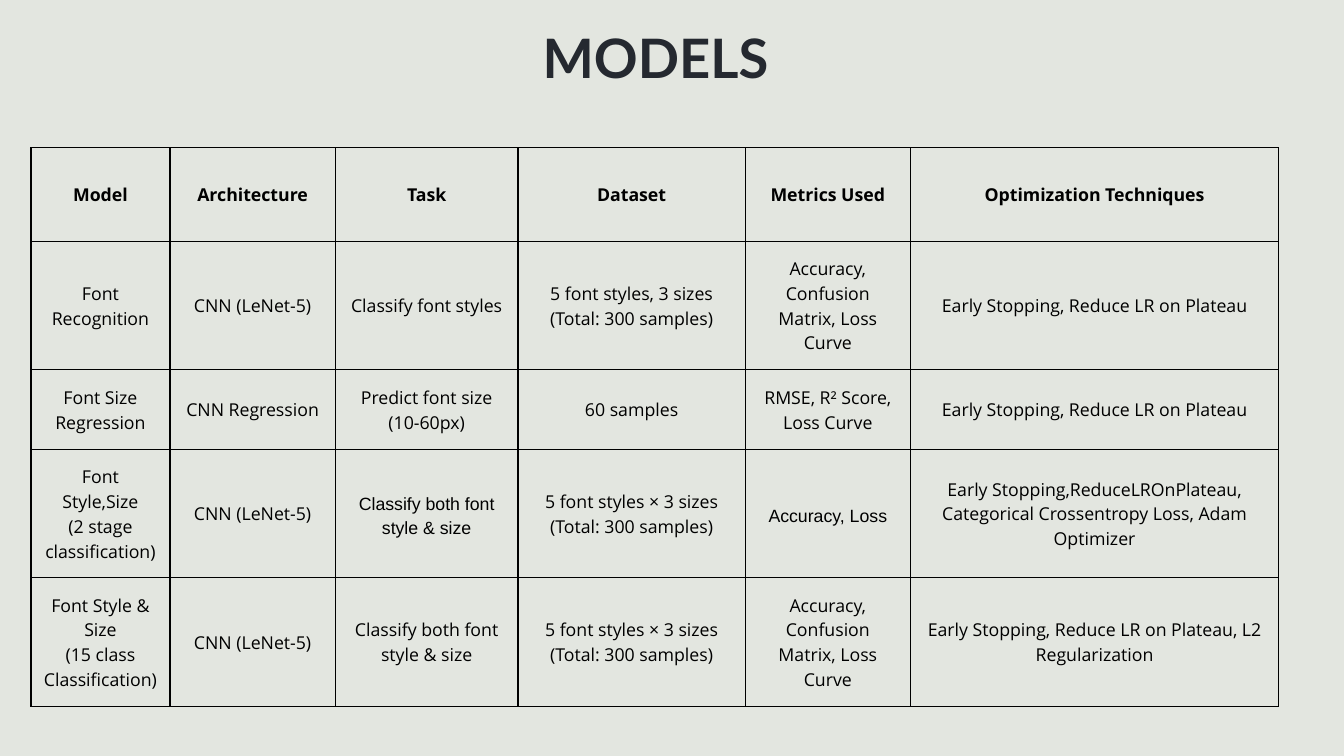
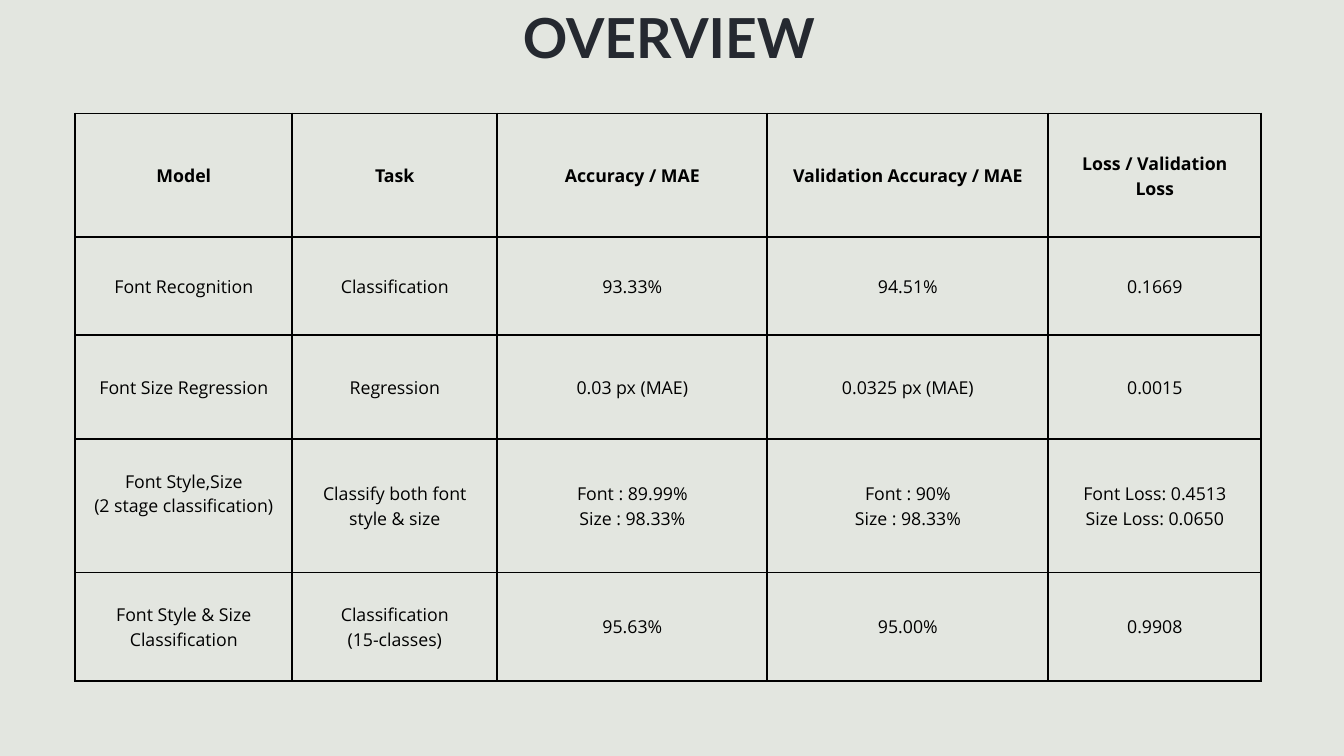
import pptx
import pptx.dml.color
import pptx.enum.text
import pptx.oxml
import pptx.oxml.ns
import pptx.util
from pptx.util import Inches

BACKGROUND, TITLE_COLOR, INK = "E3E6E0", "252930", "000000"
TITLE_FONT, BODY_FONT, ALT_FONT = "Lato", "Open Sans", "Arial"

MODELS = [
    ["Model", "Architecture", "Task", "Dataset", "Metrics Used", "Optimization Techniques"],
    ["Font Recognition", "CNN (LeNet-5)", "Classify font styles",
     "5 font styles, 3 sizes (Total: 300 samples)",
     "Accuracy, Confusion Matrix, Loss Curve", "Early Stopping, Reduce LR on Plateau"],
    ["Font Size Regression", "CNN Regression", "Predict font size (10-60px)", "60 samples",
     "RMSE, R² Score, Loss Curve", "Early Stopping, Reduce LR on Plateau"],
    ["Font Style,Size\n(2 stage classification)", "CNN (LeNet-5)",
     "Classify both font style & size", "5 font styles × 3 sizes (Total: 300 samples)",
     "Accuracy, Loss",
     "Early Stopping,ReduceLROnPlateau, Categorical Crossentropy Loss, Adam Optimizer"],
    ["Font Style & Size\n(15 class Classification)", "CNN (LeNet-5)",
     "Classify both font style & size", "5 font styles × 3 sizes (Total: 300 samples)",
     "Accuracy, Confusion Matrix, Loss Curve",
     "Early Stopping, Reduce LR on Plateau, L2 Regularization"],
]

OVERVIEW = [
    ["Model", "Task", "Accuracy / MAE", "Validation Accuracy / MAE", "Loss / Validation Loss"],
    ["Font Recognition", "Classification", "93.33%", "94.51%", "0.1669"],
    ["Font Size Regression", "Regression", "0.03 px (MAE)", "0.0325 px (MAE)", "0.0015"],
    ["Font Style,Size\n(2 stage classification)", "Classify both font style & size",
     "Font : 89.99%\nSize : 98.33%", "Font : 90%\nSize : 98.33%",
     "Font Loss: 0.4513\nSize Loss: 0.0650"],
    ["Font Style & Size Classification", "Classification\n(15-classes)",
     "95.63%", "95.00%", "0.9908"],
]


def rgb(value):
    return pptx.dml.color.RGBColor.from_string(value)


def write(tf, text, size=19, font=BODY_FONT, color=INK, bold=False, spacing=26.6):
    """Fill a text frame with centred text, one paragraph per line."""
    tf.word_wrap = True
    for i, line in enumerate(text.split("\n")):
        p = tf.paragraphs[0] if i == 0 else tf.add_paragraph()
        p.alignment = pptx.enum.text.PP_ALIGN.CENTER
        p.line_spacing = pptx.util.Pt(spacing)
        r = p.add_run()
        r.text = line
        r.font.size = pptx.util.Pt(size)
        r.font.name = font
        r.font.bold = bold
        r.font.color.rgb = rgb(color)


def set_borders(cell, width):
    tc_pr = cell._tc.get_or_add_tcPr()
    for i, side in enumerate(("lnL", "lnR", "lnT", "lnB")):
        # Lines come before the fill in the cell properties
        tc_pr.insert(i, pptx.oxml.parse_xml(
            f'<a:{side} {pptx.oxml.ns.nsdecls("a")} w="{pptx.util.Pt(width)}">'
            f'<a:solidFill><a:srgbClr val="{INK}"/></a:solidFill>'
            f'<a:prstDash val="solid"/></a:{side}>'))


def add_title(slide, text, box, size):
    sp = slide.shapes.add_textbox(*map(Inches, box))
    tf = sp.text_frame
    tf.margin_left = tf.margin_right = tf.margin_top = tf.margin_bottom = 0
    write(tf, text, size=size, font=TITLE_FONT, color=TITLE_COLOR, bold=True,
          spacing=size * 0.8)


def add_grid(slide, rows, left, top, col_widths, row_heights, inset, border, alt_cells=()):
    """Draw a ruled table and return it; alt_cells use the alternative font."""
    frame = slide.shapes.add_table(
        len(rows), len(col_widths), Inches(left), Inches(top),
        Inches(sum(col_widths)), Inches(sum(row_heights)))
    table = frame.table
    table.first_row = table.horz_banding = False
    for column, width in zip(table.columns, col_widths):
        column.width = Inches(width)
    for row, height in zip(table.rows, row_heights):
        row.height = Inches(height)
    for i, texts in enumerate(rows):
        for j, text in enumerate(texts):
            cell = table.cell(i, j)
            cell.fill.background()
            cell.vertical_anchor = pptx.enum.text.MSO_ANCHOR.MIDDLE
            cell.margin_left = cell.margin_right = Inches(inset)
            cell.margin_top = cell.margin_bottom = Inches(inset)
            write(cell.text_frame, text, bold=i == 0,
                  font=ALT_FONT if (i, j) in alt_cells else BODY_FONT)
            set_borders(cell, border)
    return table


def add_slide(prs):
    slide = prs.slides.add_slide(prs.slide_layouts[6])
    slide.background.fill.solid()
    slide.background.fill.fore_color.rgb = rgb(BACKGROUND)
    return slide


def main():
    prs = pptx.Presentation()
    prs.slide_width, prs.slide_height = Inches(20), Inches(11.25)

    # Models and how they are trained
    slide = add_slide(prs)
    add_grid(slide, MODELS, 0.46, 2.2, [2.07, 2.46, 2.72, 3.38, 2.46, 5.48],
             [1.39, 1.91, 1.19, 1.91, 1.91], inset=0.18, border=1.5,
             alt_cells={(3, 2), (3, 4)})
    add_title(slide, "MODELS", (3.64, 0.68, 12.23, 0.73), 58.2)

    # Results of each model
    slide = add_slide(prs)
    results = add_grid(slide, OVERVIEW, 1.12, 1.69, [3.23, 3.05, 4.02, 4.18, 3.17],
                       [1.84, 1.46, 1.54, 1.99, 1.61], inset=0.21, border=2.25)
    # The two-stage model's name sits half a line higher than its row
    results.cell(3, 0).margin_bottom = Inches(0.58)
    add_title(slide, "OVERVIEW", (4.41, 0.38, 11.09, 0.74), 59.1)

    prs.save("out.pptx")


if __name__ == "__main__":
    main()
